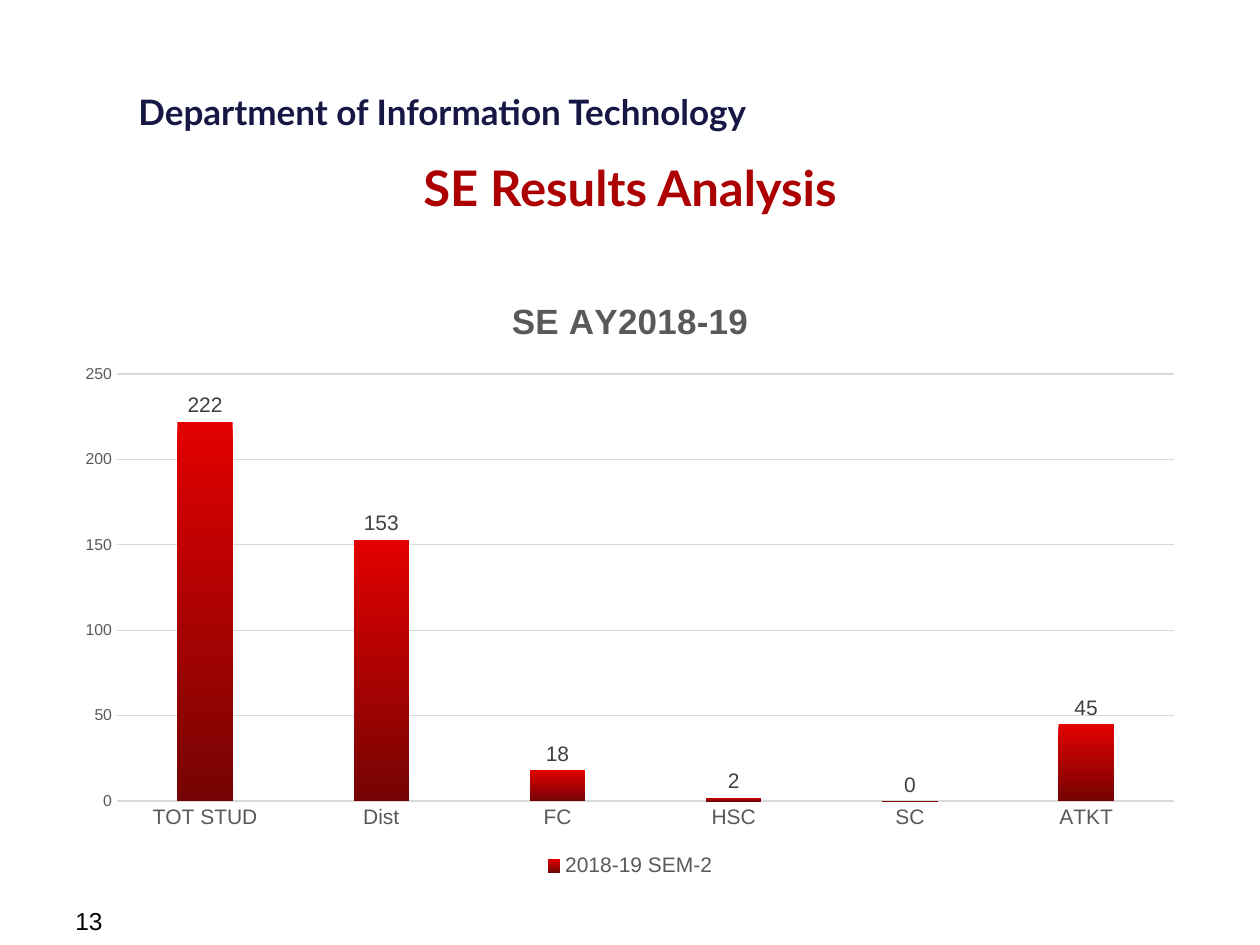
from pptx import Presentation
from pptx.chart.data import CategoryChartData
from pptx.dml.color import RGBColor
from pptx.enum.chart import XL_CHART_TYPE as Kind, XL_LABEL_POSITION as Spot
from pptx.enum.chart import XL_LEGEND_POSITION as Side, XL_TICK_MARK as Tick
from pptx.enum.text import PP_ALIGN as Align
from pptx.util import Inches, Pt


def style(font, size, color, name="Arial", bold=False):
    font.size = Pt(size)
    font.name = name
    font.bold = bold
    font.color.rgb = RGBColor.from_string(color)


def rule(line):
    line.color.rgb = RGBColor.from_string("D9D9D9")
    line.width = Pt(0.75)


prs = Presentation()
prs.slide_width, prs.slide_height = Inches(10), Inches(7.5)
slide = prs.slides.add_slide(prs.slide_layouts[6])

texts = [
    ("Department of Information Technology", (1, 0.67, 5.35, 0.44), 20, "171745", "Lato", True, Align.LEFT),
    ("SE Results Analysis", (0.5, 1.2, 9, 0.48), 28, "AC0000", "Lato", True, Align.CENTER),
    ("13", (0.5, 7.14, 2.33, 0.27), 14, "000000", "Arial", False, Align.LEFT),
]
for text, spot, size, color, name, bold, align in texts:
    frame = slide.shapes.add_textbox(*map(Inches, spot)).text_frame
    frame.word_wrap = True
    para = frame.paragraphs[0]
    para.alignment = align
    run = para.add_run()
    run.text = text
    style(run.font, size, color, name, bold)

data = CategoryChartData()
data.categories = ["TOT STUD", "Dist", "FC", "HSC", "SC", "ATKT"]
data.add_series("2018-19 SEM-2", (222, 153, 18, 2, 0, 45))
spot = map(Inches, (0.5, 2.17, 9, 4.83))
chart = slide.shapes.add_chart(Kind.COLUMN_CLUSTERED, *spot, data).chart
style(chart.font, 10, "000000")

chart.has_title = True
run = chart.chart_title.text_frame.paragraphs[0].add_run()
run.text = "SE AY2018-19"
style(run.font, 20, "595959", bold=True)
chart.chart_title.include_in_layout = False

chart.has_legend = True
chart.legend.position = Side.BOTTOM
chart.legend.include_in_layout = False
style(chart.legend.font, 12, "595959")

cat, val = chart.category_axis, chart.value_axis
for axis, size in ((cat, 12), (val, 9)):
    axis.major_tick_mark = axis.minor_tick_mark = Tick.NONE
    style(axis.tick_labels.font, size, "595959")
rule(cat.format.line)
val.format.line.fill.background()
val.minimum_scale, val.maximum_scale, val.major_unit = 0, 250, 50
rule(val.major_gridlines.format.line)

plot = chart.plots[0]
plot.vary_by_categories = False
plot.gap_width, plot.overlap = 219, -27
bars = plot.series[0]
fill = bars.format.fill
fill.gradient()
fill.gradient_angle = 270
for stop, pos, color in zip(fill.gradient_stops, (0, 1), ("E30000", "760303")):
    stop.position = pos
    stop.color.rgb = RGBColor.from_string(color)

labels = bars.data_labels
labels.show_value = True
labels.position = Spot.OUTSIDE_END
style(labels.font, 12, "404040")

prs.save("out.pptx")
